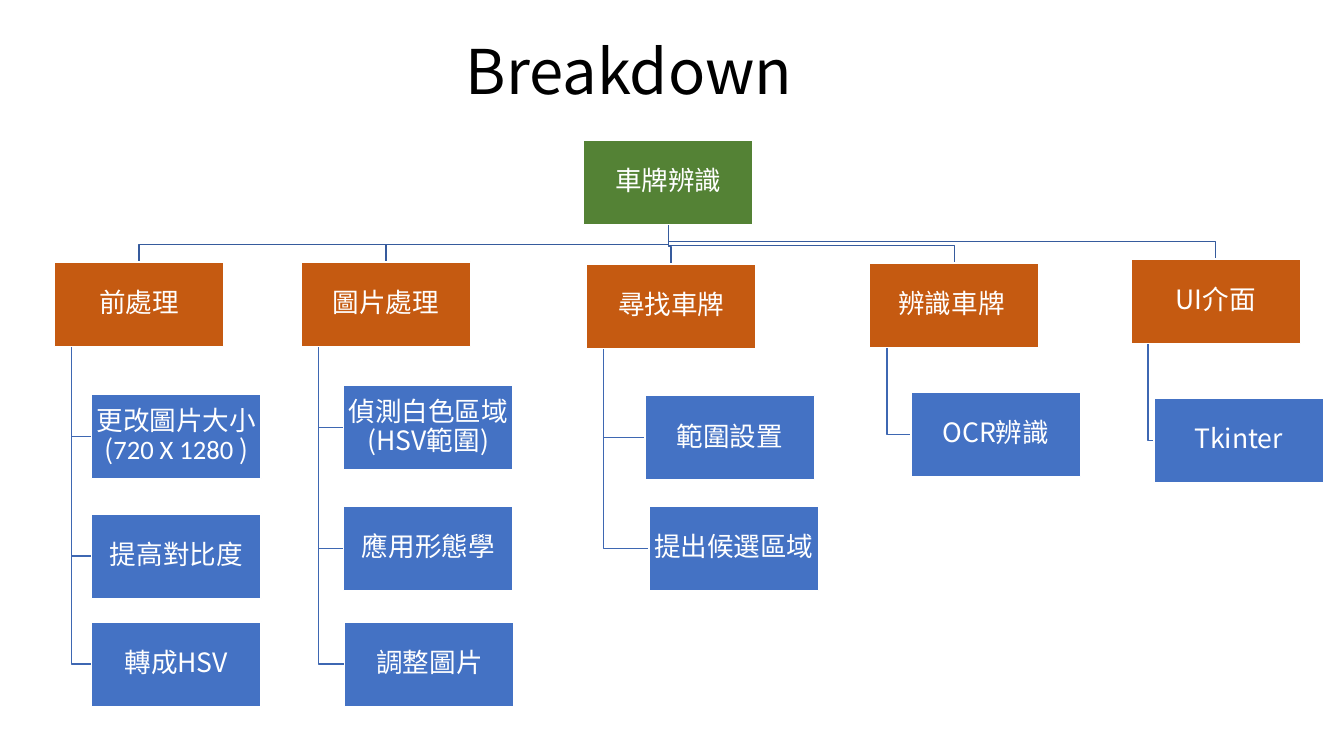
from dataclasses import dataclass

from pptx import Presentation
from pptx.dml.color import RGBColor
from pptx.enum.shapes import MSO_SHAPE
from pptx.enum.text import MSO_ANCHOR, MSO_AUTO_SIZE, PP_ALIGN
from pptx.oxml.ns import qn
from pptx.util import Cm, Pt


@dataclass(frozen=True)
class Theme:
    font: str = "Noto Sans CJK SC"
    digit_font: str = "Calibri"
    title_size: int = 44
    box_size: int = 19
    title_color: str = "000000"
    box_text: str = "FFFFFF"
    box_edge: str = "FFFFFF"
    root: str = "548235"
    stage: str = "C55A11"
    task: str = "4472C4"
    bus_line: str = "365B9D"
    task_line: str = "3E67B2"


# Layout in centimetres
BOX_WIDTH, BOX_HEIGHT = 4.27, 2.13
BUS_RISE = 0.44      # from a stage's top up to the horizontal line
TRUNK_INDENT = 0.43  # from a stage's left side to its vertical line

ROOT = ("車牌辨識", 14.71, 3.53)
SIZE_TASK = [("更改圖片大小(", False), ("720 X 1280 ", True), (")", False)]

# Each stage: label, left, top, and its tasks in the same form
STAGES = [
    ("前處理", 1.37, 6.6, [
        (SIZE_TASK, 2.31, 9.93),
        ("提高對比度", 2.31, 12.95),
        ("轉成HSV", 2.31, 15.67)]),
    ("圖片處理", 7.59, 6.6, [
        ("偵測白色區域(HSV範圍)", 8.66, 9.7),
        ("應用形態學", 8.66, 12.75),
        ("調整圖片", 8.69, 15.67)]),
    ("尋找車牌", 14.78, 6.65, [
        ("範圍設置", 16.26, 9.96),
        ("提出候選區域", 16.36, 12.75)]),
    ("辨識車牌 ", 21.92, 6.63, [("OCR辨識", 22.96, 9.88)]),
    ("UI介面", 28.5, 6.53, [("Tkinter", 29.08, 10.03)]),
]


def write_text(frame, text, *, theme, size, color, align, inset=None):
    """Fill a text frame; text is a string or (string, uses digit font) pairs."""
    frame.word_wrap = True
    frame.auto_size = MSO_AUTO_SIZE.NONE
    frame.vertical_anchor = MSO_ANCHOR.MIDDLE
    if inset is not None:
        frame.margin_left = frame.margin_right = Cm(inset)
        frame.margin_top = frame.margin_bottom = Cm(inset)
    paragraph = frame.paragraphs[0]
    paragraph.alignment = align
    paragraph.line_spacing = 0.9
    pieces = [(text, False)] if isinstance(text, str) else text
    for words, is_digits in pieces:
        run = paragraph.add_run()
        run.text = words
        run.font.size = Pt(size)
        run.font.color.rgb = RGBColor.from_string(color)
        run.font.name = theme.digit_font if is_digits else theme.font
        east_asian = run.font._element.makeelement(
            qn("a:ea"), {"typeface": theme.font})
        run.font._element.find(qn("a:latin")).addnext(east_asian)


class SlideBuilder:
    def __init__(self, slide, theme):
        self.slide = slide
        self.theme = theme

    def title(self, text, left, top, width, height):
        shape = self.slide.shapes.title
        shape.left, shape.top = Cm(left), Cm(top)
        shape.width, shape.height = Cm(width), Cm(height)
        write_text(shape.text_frame, text, theme=self.theme,
                   size=self.theme.title_size, color=self.theme.title_color,
                   align=PP_ALIGN.LEFT)

    def box(self, text, left, top, fill):
        shape = self.slide.shapes.add_shape(
            MSO_SHAPE.RECTANGLE, Cm(left), Cm(top),
            Cm(BOX_WIDTH), Cm(BOX_HEIGHT))
        shape.shadow.inherit = False
        shape.fill.solid()
        shape.fill.fore_color.rgb = RGBColor.from_string(fill)
        shape.line.color.rgb = RGBColor.from_string(self.theme.box_edge)
        shape.line.width = Pt(1)
        write_text(shape.text_frame, text, theme=self.theme,
                   size=self.theme.box_size, color=self.theme.box_text,
                   align=PP_ALIGN.CENTER, inset=0.03)

    def branch(self, points, color):
        start, *others = [(Cm(x), Cm(y)) for x, y in points]
        builder = self.slide.shapes.build_freeform(*start)
        builder.add_line_segments(others, close=False)
        shape = builder.convert_to_shape()
        shape.shadow.inherit = False
        shape.fill.background()
        shape.line.color.rgb = RGBColor.from_string(color)
        shape.line.width = Pt(1)


def main():
    presentation = Presentation()
    presentation.slide_width, presentation.slide_height = Cm(33.87), Cm(19.05)
    slide = presentation.slides.add_slide(presentation.slide_layouts[5])
    theme = Theme()
    builder = SlideBuilder(slide, theme)

    builder.title("Breakdown", 11.48, 0.05, 11.3, 3.68)

    # Branches, behind the boxes
    root_text, root_left, root_top = ROOT
    root_center, root_bottom = root_left + BOX_WIDTH / 2, root_top + BOX_HEIGHT
    for _, left, top, tasks in STAGES:
        center, bus = left + BOX_WIDTH / 2, top - BUS_RISE
        builder.branch([(root_center, root_bottom), (root_center, bus),
                        (center, bus), (center, top)], theme.bus_line)
        trunk = left + TRUNK_INDENT
        for _, task_left, task_top in tasks:
            middle = task_top + BOX_HEIGHT / 2
            builder.branch([(trunk, top + BOX_HEIGHT), (trunk, middle),
                            (task_left, middle)], theme.task_line)

    # Boxes
    builder.box(root_text, root_left, root_top, theme.root)
    for label, left, top, tasks in STAGES:
        builder.box(label, left, top, theme.stage)
        for task in tasks:
            builder.box(*task, theme.task)

    presentation.save("out.pptx")


if __name__ == "__main__":
    main()
